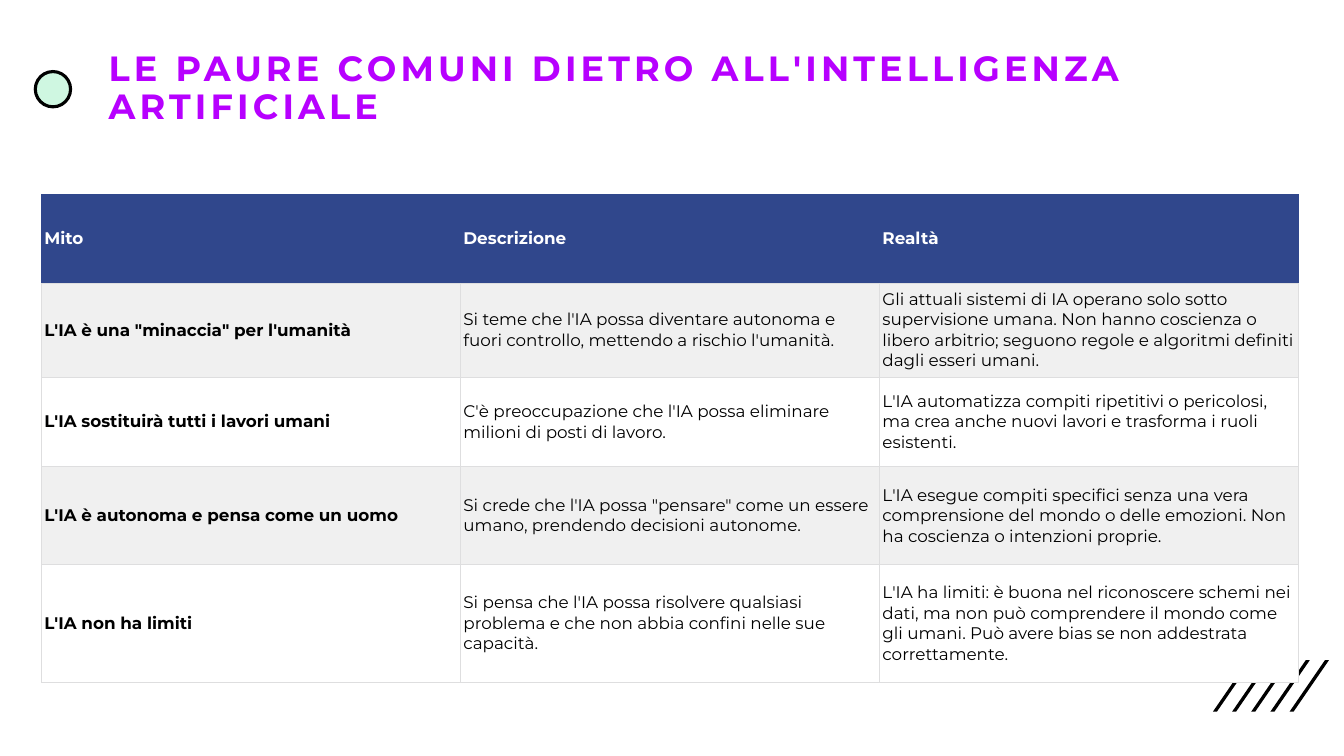
from lxml.etree import SubElement
from pptx import Presentation
from pptx.dml.color import RGBColor
from pptx.enum.shapes import MSO_SHAPE
from pptx.enum.text import MSO_ANCHOR
from pptx.oxml.ns import qn
from pptx.util import Inches, Pt

FONT = "Montserrat"
COLORS = {
    "black": "000000",
    "white": "FFFFFF",
    "mint": "CFF7E1",
    "purple": "B700FF",
    "blue": "30478C",
    "band": "F0F0F0",
    "border": "DEDEDF",
}
TITLE = "LE PAURE COMUNI DIETRO ALL'INTELLIGENZA ARTIFICIALE"
ROW_HEIGHTS = [0.89, 0.93, 0.89, 0.97, 1.17]
ROWS = [
    ("Mito", "Descrizione", "Realtà"),
    ("L'IA è una \"minaccia\" per l'umanità",
     "Si teme che l'IA possa diventare autonoma e fuori controllo, "
     "mettendo a rischio l'umanità.",
     "Gli attuali sistemi di IA operano solo sotto supervisione umana. "
     "Non hanno coscienza o libero arbitrio; seguono regole e algoritmi "
     "definiti dagli esseri umani."),
    ("L'IA sostituirà tutti i lavori umani",
     "C'è preoccupazione che l'IA possa eliminare milioni di posti di lavoro.",
     "L'IA automatizza compiti ripetitivi o pericolosi, ma crea anche nuovi "
     "lavori e trasforma i ruoli esistenti."),
    ("L'IA è autonoma e pensa come un uomo",
     "Si crede che l'IA possa \"pensare\" come un essere umano, prendendo "
     "decisioni autonome.",
     "L'IA esegue compiti specifici senza una vera comprensione del mondo o "
     "delle emozioni. Non ha coscienza o intenzioni proprie."),
    ("L'IA non ha limiti",
     "Si pensa che l'IA possa risolvere qualsiasi problema e che non abbia "
     "confini nelle sue capacità.",
     "L'IA ha limiti: è buona nel riconoscere schemi nei dati, ma non può "
     "comprendere il mondo come gli umani. Può avere bias se non addestrata "
     "correttamente."),
]


def rgb(name):
    return RGBColor.from_string(COLORS[name])


def fill_solid(target, color):
    target.fill.solid()
    target.fill.fore_color.rgb = rgb(color)


def add_run(p, text, size, color, bold):
    r = p.add_run()
    r.text = text
    r.font.name = FONT
    r.font.size = Pt(size)
    r.font.bold = bold
    r.font.color.rgb = rgb(color)
    return r


def add_stripes(s, count=5, left=12.03, top=6.55, step=0.19):
    """Row of equally spaced slanted bars."""
    thick, slant, height = 0.04, 0.35, 0.51
    for i in range(count):
        x, bottom = left + i * step, top + height
        corners = [(x + thick, bottom), (x, bottom),
                   (x + slant, top), (x + slant + thick, top)]
        points = [(Inches(px), Inches(py)) for px, py in corners]
        builder = s.shapes.build_freeform(*points[0], scale=1.0)
        builder.add_line_segments(points[1:], close=True)
        sp = builder.convert_to_shape()
        sp.shadow.inherit = False
        fill_solid(sp, "black")
        sp.line.fill.background()


def add_dot(s):
    sp = s.shapes.add_shape(MSO_SHAPE.OVAL, Inches(0.35), Inches(0.71),
                            Inches(0.35), Inches(0.35))
    sp.shadow.inherit = False
    fill_solid(sp, "mint")
    sp.line.color.rgb = rgb("black")
    sp.line.width = Pt(2.25)


def add_title(s):
    sp = s.shapes.add_textbox(Inches(0.98), Inches(0.74),
                              Inches(11.38), Inches(0.57))
    tf = sp.text_frame
    tf.word_wrap = True
    tf.vertical_anchor = MSO_ANCHOR.BOTTOM
    p = tf.paragraphs[0]
    p.line_spacing = 0.9
    r = add_run(p, TITLE, 25, "purple", True)
    r.font._element.set("spc", "300")


def set_borders(cell, visible):
    """Draw the named sides (L, R, T, B) and hide the others."""
    tc_pr = cell._tc.get_or_add_tcPr()
    for i, side in enumerate("LRTB"):
        ln = SubElement(tc_pr, qn(f"a:ln{side}"), w=str(Pt(0.5)))
        if side in visible:
            solid = SubElement(ln, qn("a:solidFill"))
            SubElement(solid, qn("a:srgbClr"), val=COLORS["border"])
        else:
            SubElement(ln, qn("a:noFill"))
        tc_pr.insert(i, ln)


def fill_cell(cell, text, row, col):
    header = row == 0
    cell.margin_left = cell.margin_right = Inches(0.03)
    cell.margin_top = cell.margin_bottom = Inches(0.03)
    cell.vertical_anchor = MSO_ANCHOR.MIDDLE
    fill_solid(cell, "blue" if header else "band" if row % 2 else "white")
    set_borders(cell, "B" if header else "LRTB")
    add_run(cell.text_frame.paragraphs[0], text, 12,
            "white" if header else "black", header or col == 0)


def add_myths_table(s):
    frame = s.shapes.add_table(len(ROWS), len(ROWS[0]), Inches(0.41),
                               Inches(1.92), Inches(12.47),
                               Inches(sum(ROW_HEIGHTS)))
    table = frame.table
    for row, (height, texts) in enumerate(zip(ROW_HEIGHTS, ROWS)):
        table.rows[row].height = Inches(height)
        for col, text in enumerate(texts):
            fill_cell(table.cell(row, col), text, row, col)


def main():
    prs = Presentation()
    prs.slide_width, prs.slide_height = Inches(13.33), Inches(7.5)
    s = prs.slides.add_slide(prs.slide_layouts[6])
    add_stripes(s)
    add_dot(s)
    add_title(s)
    add_myths_table(s)
    prs.save("out.pptx")


if __name__ == "__main__":
    main()
